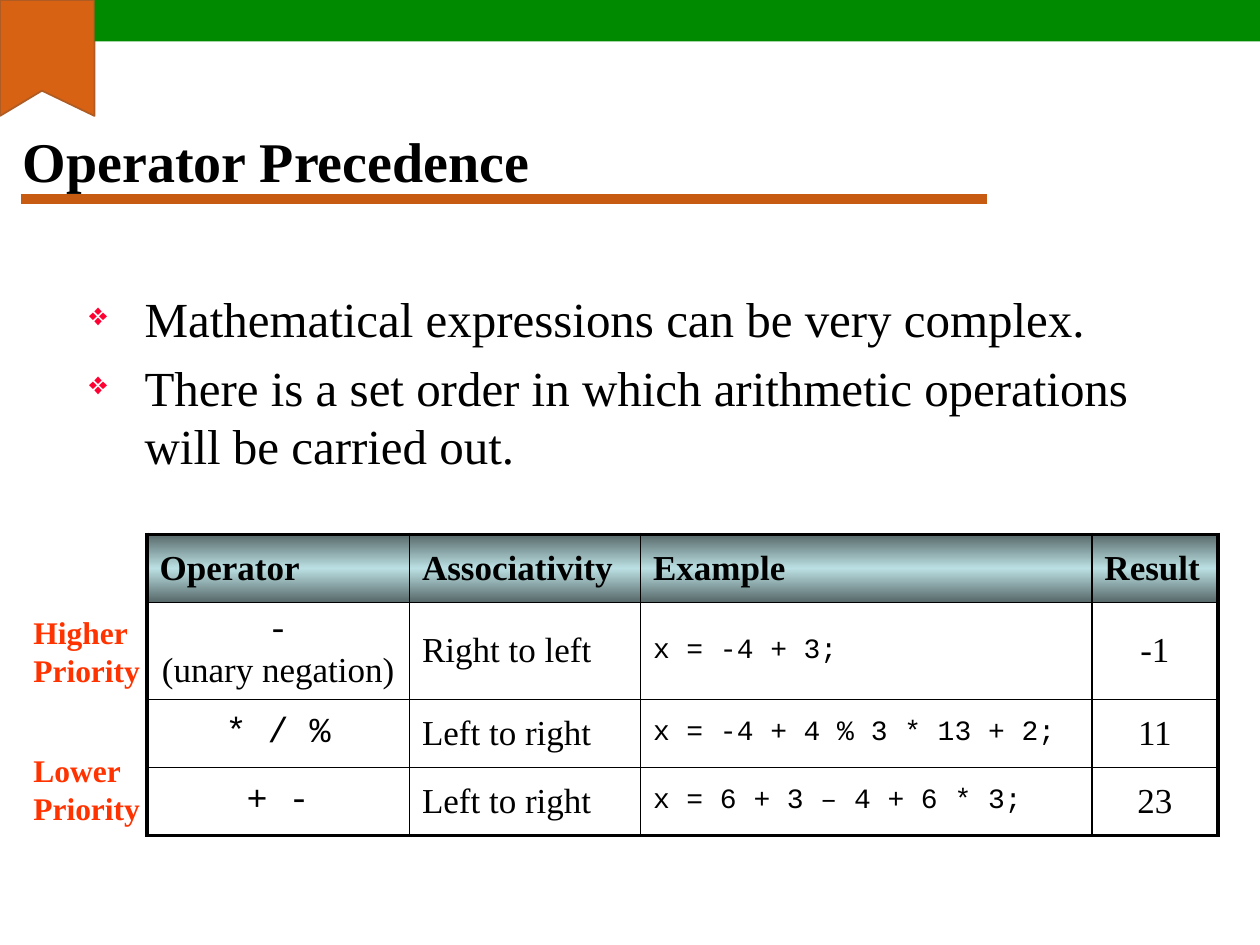
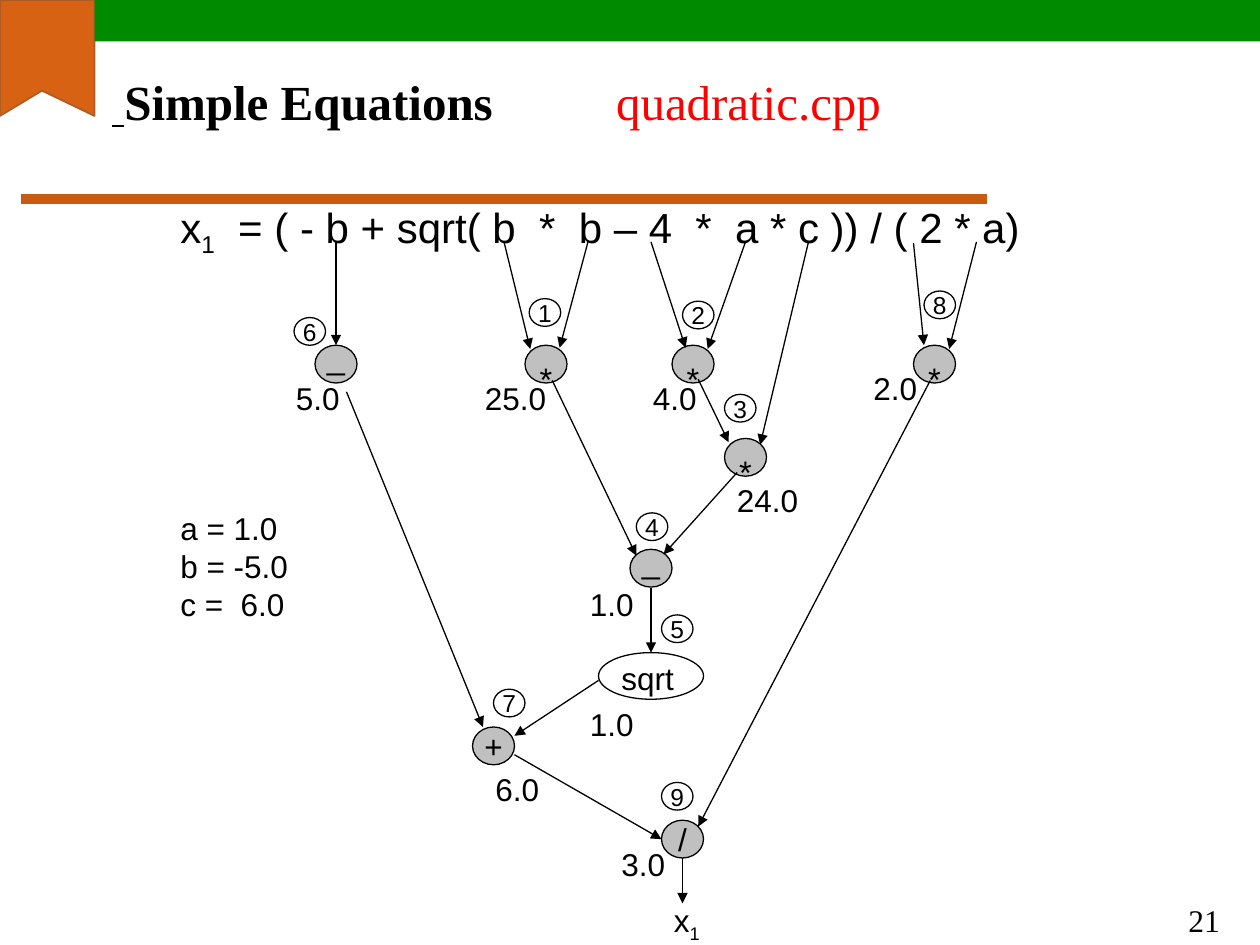
"""Builds two lecture slides: operator precedence and a quadratic evaluation graph."""
from dataclasses import dataclass
from typing import NamedTuple

from lxml import etree
from pptx import Presentation
from pptx import util as u
from pptx.dml.color import RGBColor
from pptx.enum import shapes, text
from pptx.oxml.ns import qn
from pptx.shapes.autoshape import Shape
from pptx.slide import Slide

COLORS = {
    "ink": "000000", "band": "008A00", "ribbon": "D76213", "ribbon_edge": "AF5C24",
    "rule": "C75B12", "bullet": "FF0033", "priority": "FF3300", "file": "FF0000",
    "node": "C0C0C0", "head_dark": "576869", "head_light": "BBE0E3",
}
WIDTH, HEIGHT = u.Inches(10), u.Inches(7.5)
COL, ROW = WIDTH / 120, HEIGHT / 750
SERIF, SANS, MONO = "Times New Roman", "Arial", "Courier New"
MIDDLE, CENTER = text.MSO_ANCHOR.MIDDLE, text.PP_ALIGN.CENTER


class Box(NamedTuple):
    """A place on the grid, in columns and rows."""
    x: float
    y: float
    w: float
    h: float

    def emu(self) -> list[int]:
        """Return left, top, width and height as lengths."""
        return [round(v * unit) for v, unit in zip(self, (COL, ROW, COL, ROW))]


@dataclass
class Run:
    """A piece of text with one format."""
    text: str
    size: float = 18
    font: str = SANS
    color: str = "ink"
    bold: bool = False
    underline: bool = False
    base: int = 0


class Node(NamedTuple):
    """An operator circle with its sign."""
    x: float
    y: float
    sign: str
    size: float
    base: int


class Mark(NamedTuple):
    """A short text at a grid point."""
    x: float
    y: float
    text: str
    w: float = 6.6


class Arrow(NamedTuple):
    """An arrow between two grid points, joined to the top of a named shape if given."""
    x1: float
    y1: float
    x2: float
    y2: float
    onto: str = ""


def rgb(name: str) -> RGBColor:
    """Look up a colour."""
    return RGBColor.from_string(COLORS[name])


def write(tf, paragraphs: list[list[Run]], **fmt) -> None:
    """Fill a text frame or cell frame with paragraphs of runs."""
    align = fmt.pop("alignment", None)
    for key, value in fmt.items():
        setattr(tf, key, value)
    for i, runs in enumerate(paragraphs):
        p = tf.add_paragraph() if i else tf.paragraphs[0]
        p.alignment = align
        for run in runs:
            if run.text == "\n":
                p.add_line_break()
                continue
            r = p.add_run()
            r.text = run.text
            style = {"size": u.Pt(run.size), "name": run.font,
                     "bold": run.bold, "underline": run.underline}
            for key, value in style.items():
                setattr(r.font, key, value)
            r.font.color.rgb = rgb(run.color)
            if run.base:
                r.font._element.set("baseline", str(run.base * 1000))


def add_text(s: Slide, box: Box, paragraphs: list[list[Run]], **fmt) -> Shape:
    """Add a text box."""
    sp = s.shapes.add_textbox(*box.emu())
    write(sp.text_frame, paragraphs, **{"word_wrap": True, **fmt})
    return sp


def add_label(s: Slide, box: Box, paragraphs: list[list[Run]]) -> None:
    """Add a text box that fits its unwrapped text."""
    add_text(s, box, paragraphs, word_wrap=False,
             auto_size=text.MSO_AUTO_SIZE.SHAPE_TO_FIT_TEXT)


def paint(sp: Shape, fill: str = "", line: str = "", width: float = 0.75) -> None:
    """Set fill and outline and drop the shadow."""
    sp.shadow.inherit = False
    for part, color in ((sp.fill, fill), (sp.line.fill, line)):
        if color:
            part.solid()
            part.fore_color.rgb = rgb(color)
        else:
            part.background()
    if line:
        sp.line.width = u.Pt(width)


def add_ellipse(s: Slide, box: Box, run: Run | None = None, fill: str = "") -> Shape:
    """Add an outlined ellipse with centred text."""
    sp = s.shapes.add_shape(shapes.MSO_SHAPE.OVAL, *box.emu())
    paint(sp, fill, "ink")
    if run:
        write(sp.text_frame, [[run]], word_wrap=False, vertical_anchor=MIDDLE, alignment=CENTER)
    return sp


def add_line(s: Slide, arrow: Arrow, color: str = "ink", width: float = 0.75,
             head: bool = True, target: Shape | None = None) -> None:
    """Add a straight connector, with an arrowhead unless told otherwise."""
    ends = [round(v * unit) for v, unit in zip(arrow[:4], (COL, ROW, COL, ROW))]
    cx = s.shapes.add_connector(shapes.MSO_CONNECTOR.STRAIGHT, *ends)
    if target is not None:
        cx.end_connect(target, 0)
    cx.line.color.rgb = rgb(color)
    cx.line.width = u.Pt(width)
    if head:
        etree.SubElement(cx.line._get_or_add_ln(), qn("a:tailEnd"), type="triangle")
    etree.SubElement(cx._element.spPr, qn("a:effectLst"))


def add_frame(prs) -> Slide:
    """Add a blank slide with the rule, ribbon and top band."""
    s = prs.slides.add_slide(prs.slide_layouts[6])
    add_line(s, Arrow(2, 158, 94, 158), "rule", 6, head=False)
    fb = s.shapes.build_freeform(0, 0, (COL, ROW))
    fb.add_line_segments([(9, 0), (9, 92), (4.5, 72), (0, 92)], close=True)
    paint(fb.convert_to_shape(), "ribbon", "ribbon_edge", 1)
    band = s.shapes.add_shape(shapes.MSO_SHAPE.RECTANGLE, *Box(9, 0, 111, 33).emu())
    paint(band, "band")
    return s


def set_bullet(p) -> None:
    """Give a paragraph its diamond bullet and hanging indent."""
    pPr = p._p.get_or_add_pPr()
    pPr.set("marL", str(u.Inches(0.55)))
    pPr.set("indent", str(-u.Inches(0.44)))
    p.space_before = u.Pt(5.6)
    color = etree.SubElement(pPr, qn("a:buClr"))
    etree.SubElement(color, qn("a:srgbClr"), val=COLORS["bullet"])
    etree.SubElement(pPr, qn("a:buSzPct"), val="65000")
    etree.SubElement(pPr, qn("a:buChar"), char="❖")


def style_cell(cell, widths: dict[str, float], header: bool) -> None:
    """Set a cell's borders and fill."""
    tcPr = cell._tc.get_or_add_tcPr()
    for side, width in widths.items():
        ln = etree.SubElement(tcPr, qn(f"a:ln{side}"), w=str(u.Pt(width)))
        solid = etree.SubElement(ln, qn("a:solidFill"))
        etree.SubElement(solid, qn("a:srgbClr"), val=COLORS["ink"])
    if not header:
        cell.fill.background()
        return
    grad = etree.SubElement(tcPr, qn("a:gradFill"))
    stops = etree.SubElement(grad, qn("a:gsLst"))
    for pos, color in ((0, "head_dark"), (50, "head_light"), (100, "head_dark")):
        gs = etree.SubElement(stops, qn("a:gs"), pos=str(pos * 1000))
        etree.SubElement(gs, qn("a:srgbClr"), val=COLORS[color])
    etree.SubElement(grad, qn("a:lin"), ang="5400000", scaled="1")


def add_precedence_table(s: Slide) -> None:
    """Add the table of operators."""
    rows = [
        ("Operator", "Associativity", "Example", "Result"),
        ("-", "Right to left", "x = -4 + 3;", "-1"),
        ("* / %", "Left to right", "x = -4 + 4 % 3 * 13 + 2;", "11"),
        ("+ -", "Left to right", "x = 6 + 3 – 4 + 6 * 3;", "23"),
    ]
    col_widths, row_heights = (25, 22, 43, 12), (54, 77, 54, 54)
    fonts, sizes = (MONO, SERIF, MONO, SERIF), (20, 20, 16, 20)
    last_row, last_col = len(row_heights) - 1, len(col_widths) - 1
    place = Box(14, 424, sum(col_widths), sum(row_heights))
    table = s.shapes.add_table(last_row + 1, last_col + 1, *place.emu()).table
    table.first_row = table.horz_banding = False
    for i, w in enumerate(col_widths):
        table.columns[i].width = round(w * COL)
    for i, h in enumerate(row_heights):
        table.rows[i].height = round(h * ROW)
    for i, row in enumerate(rows):
        for j, value in enumerate(row):
            header = i == 0
            run = Run(value, 20, SERIF, bold=True) if header else Run(value, sizes[j], fonts[j])
            runs = [run]
            if value == "-":
                runs += [Run("\n"), Run("(unary negation)", 20, SERIF)]
            cell = table.cell(i, j)
            cell.vertical_anchor = MIDDLE
            centred = not header and j in (0, last_col)
            write(cell.text_frame, [runs], alignment=CENTER if centred else None)
            outer = {"L": j == 0, "R": j == last_col, "T": header, "B": i == last_row}
            style_cell(cell, {k: 2.25 if edge else 1 for k, edge in outer.items()}, header)


def precedence_slide(prs) -> None:
    """Build the operator precedence slide."""
    s = add_frame(prs)
    add_text(s, Box(1, 67, 108, 120), [[Run("Operator Precedence", 32, SERIF, bold=True)]],
             vertical_anchor=MIDDLE)
    points = ["Mathematical expressions can be very complex.",
              "There is a set order in which arithmetic operations will be carried out."]
    body = add_text(s, Box(6, 224, 108, 180), [[Run(t, 28, SERIF)] for t in points])
    for p in body.text_frame.paragraphs:
        set_bullet(p)
    add_precedence_table(s)
    for y, level in ((482, "Higher"), (591, "Lower")):
        add_label(s, Box(2, y, 12.6, 70),
                  [[Run(t, 18, SERIF, "priority", True)] for t in (level, "Priority")])


def equation_slide(prs) -> None:
    """Build the evaluation graph of the quadratic formula."""
    s = add_frame(prs)
    add_label(s, Box(16, 155, 82.4, 50), [[
        Run("x", 24), Run("1", 24, base=-25),
        Run("  = ( - b + sqrt( b  *  b – 4  *  a * c )) / ( 2 * a)", 24)]])
    nodes = {
        "negate": Node(30, 274, "_", 32, 30), "b_squared": Node(50, 274, "*", 32, -10),
        "four_a": Node(64, 274, "*", 32, -10), "four_ac": Node(69, 348, "*", 32, -10),
        "two_a": Node(87, 274, "*", 32, -10), "subtract": Node(60, 436, "_", 32, 30),
        "add": Node(45, 577, "+", 18, 0), "divide": Node(63, 651, "/", 18, 0),
    }
    drawn = {name: add_ellipse(s, Box(n.x, n.y, 4, 30), Run(n.sign, n.size, base=n.base), "node")
             for name, n in nodes.items()}
    drawn["sqrt"] = add_ellipse(s, Box(57, 518, 10, 37))
    arrows = [
        Arrow(32, 192, 32, 274, "negate"), Arrow(48, 192, 50.5, 277),
        Arrow(56, 192, 53.3, 276), Arrow(62, 192, 65.3, 276), Arrow(71, 192, 67.4, 277),
        Arrow(77, 192, 72.4, 353), Arrow(87, 193, 88, 274), Arrow(93, 192, 90.4, 277),
        Arrow(66.5, 301, 69.4, 351), Arrow(70.2, 375, 63.2, 440),
        Arrow(52.6, 302, 60.6, 441), Arrow(62, 467, 62, 518, "sqrt"),
        Arrow(57, 540, 49, 584), Arrow(33, 311, 46, 577), Arrow(88.6, 302, 66.5, 656),
        Arrow(49, 599, 63, 666), Arrow(65, 681, 65, 717),
    ]
    for arrow in arrows:
        add_line(s, arrow, target=drawn.get(arrow.onto))
    steps = [(50.4, 237), (65, 239), (69, 313), (60.6, 407), (63, 488),
             (28, 252), (47, 547), (88, 231), (63, 621)]
    for number, (x, y) in enumerate(steps, 1):
        add_ellipse(s, Box(x, y, 3, 22), Run(str(number), 14))
    marks = [
        Mark(27, 296, "5.0"), Mark(45, 296, "25.0", 8.3), Mark(61, 296, "4.0"),
        Mark(82, 288, "2.0"), Mark(69, 377, "24.0", 8.3), Mark(55, 459, "1.0"),
        Mark(58, 518, "sqrt", 7.4), Mark(55, 555, "1.0"), Mark(46, 606, "6.0"),
        Mark(58, 666, "3.0"),
    ]
    for m in marks:
        add_label(s, Box(m.x, m.y, m.w, 40), [[Run(m.text)]])
    add_text(s, Box(63, 710, 6, 40), [[Run("x"), Run("1", base=-25)]])
    add_label(s, Box(16, 399, 12.7, 100), [[Run(t)] for t in ("a = 1.0", "b = -5.0", "c =  6.0")])
    add_text(s, Box(9.5, 52, 102, 61), [[
        Run(" ", 28, SERIF, bold=True, underline=True),
        Run("Simple Equations \t\t", 28, SERIF, bold=True),
        Run("quadratic.cpp", 28, SERIF, "file")]])
    add_text(s, Box(112, 710, 7, 40), [[Run("21", 18, SERIF)]])


def main() -> None:
    """Build and save the presentation."""
    prs = Presentation()
    prs.slide_width, prs.slide_height = WIDTH, HEIGHT
    precedence_slide(prs)
    equation_slide(prs)
    prs.save("out.pptx")


if __name__ == "__main__":
    main()
